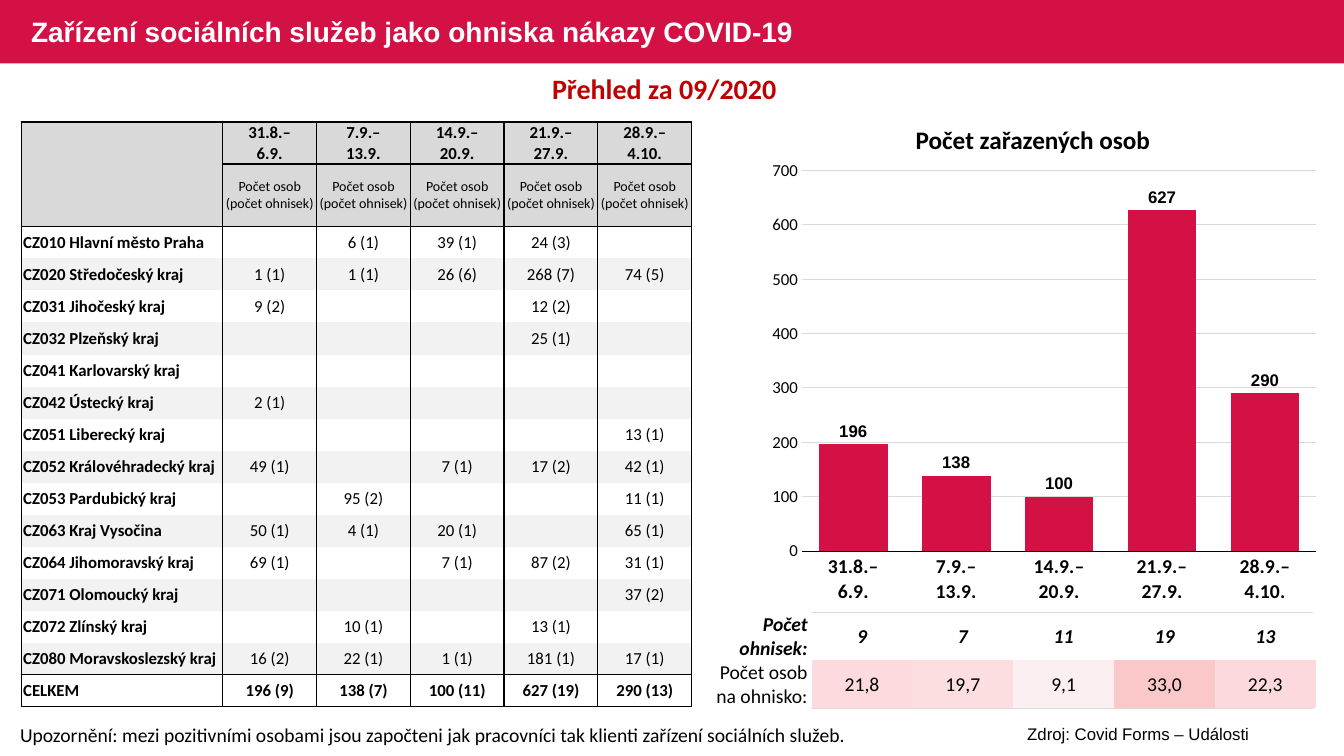
from dataclasses import dataclass, field

from lxml import etree
from pptx import Presentation
from pptx.chart import data as chart_data
from pptx.dml.color import RGBColor
from pptx.enum import chart as charts, shapes, text
from pptx.oxml import parse_xml
from pptx.oxml.ns import nsdecls, qn
from pptx.util import Inches, Pt

COLORS = {
    "red": "D31145", "dark_red": "C00000", "black": "000000", "white": "FFFFFF",
    "header": "D9D9D9", "band": "F2F2F2", "grid": "D9D9D9",
}
LEFT, CENTER, RIGHT = text.PP_ALIGN.LEFT, text.PP_ALIGN.CENTER, text.PP_ALIGN.RIGHT
WEEKS = ["31.8.–\n6.9.", "7.9.–\n13.9.", "14.9.–\n20.9.", "21.9.–\n27.9.", "28.9.–\n4.10."]
PERSONS = [196, 138, 100, 627, 290]
REGIONS = [
    ("CZ010 Hlavní město Praha", "", "6 (1)", "39 (1)", "24 (3)", ""),
    ("CZ020 Středočeský kraj", "1 (1)", "1 (1)", "26 (6)", "268 (7)", "74 (5)"),
    ("CZ031 Jihočeský kraj", "9 (2)", "", "", "12 (2)", ""),
    ("CZ032 Plzeňský kraj", "", "", "", "25 (1)", ""),
    ("CZ041 Karlovarský kraj", "", "", "", "", ""),
    ("CZ042 Ústecký kraj", "2 (1)", "", "", "", ""),
    ("CZ051 Liberecký kraj", "", "", "", "", "13 (1)"),
    ("CZ052 Královéhradecký kraj", "49 (1)", "", "7 (1)", "17 (2)", "42 (1)"),
    ("CZ053 Pardubický kraj", "", "95 (2)", "", "", "11 (1)"),
    ("CZ063 Kraj Vysočina", "50 (1)", "4 (1)", "20 (1)", "", "65 (1)"),
    ("CZ064 Jihomoravský kraj", "69 (1)", "", "7 (1)", "87 (2)", "31 (1)"),
    ("CZ071 Olomoucký kraj", "", "", "", "", "37 (2)"),
    ("CZ072 Zlínský kraj", "", "10 (1)", "", "13 (1)", ""),
    ("CZ080 Moravskoslezský kraj", "16 (2)", "22 (1)", "1 (1)", "181 (1)", "17 (1)"),
    ("CELKEM", "196 (9)", "138 (7)", "100 (11)", "627 (19)", "290 (13)"),
]


@dataclass
class Style:
    size: float
    bold: bool = False
    italic: bool = False
    color: str = "black"
    font: str = "Calibri"
    align: text.PP_ALIGN = CENTER


@dataclass
class Label:
    box: tuple[float, float, float, float]
    words: str
    style: Style
    anchor: text.MSO_ANCHOR = text.MSO_ANCHOR.TOP


@dataclass
class Cell:
    words: str = ""
    style: Style = field(default_factory=lambda: Style(12))
    fill: str | None = None
    margins: tuple[float, float, float, float] = (0.01, 0.01, 0.01, 0)
    borders: dict[str, tuple[str, float]] = field(default_factory=dict)


def style_font(font, style: Style) -> None:
    font.size, font.bold, font.italic = Pt(style.size), style.bold, style.italic
    font.name = style.font
    font.color.rgb = RGBColor.from_string(COLORS[style.color])


def write(tf, words: str, style: Style) -> None:
    p = tf.paragraphs[0]
    p.text = words.replace("\n", "\v")
    p.alignment = style.align
    for r in p.runs:
        style_font(r.font, style)


def add_label(slide, label: Label) -> None:
    tf = slide.shapes.add_textbox(*map(Inches, label.box)).text_frame
    tf.word_wrap = True
    tf.vertical_anchor = label.anchor
    write(tf, label.words, label.style)


def set_borders(cell, borders: dict[str, tuple[str, float]]) -> None:
    tc_pr = cell._tc.get_or_add_tcPr()
    for i, side in enumerate("LRTB"):
        ln = etree.Element(qn(f"a:ln{side}"))
        if side in borders:
            color, width = borders[side]
            ln.set("w", str(Pt(width)))
            fill = etree.SubElement(ln, qn("a:solidFill"))
            etree.SubElement(fill, qn("a:srgbClr"), val=COLORS[color])
        else:
            etree.SubElement(ln, qn("a:noFill"))
        tc_pr.insert(i, ln)


def add_grid(slide, left: float, top: float, widths: list[float],
             heights: list[float], rows: list[list[Cell]]) -> None:
    box = map(Inches, (left, top, sum(widths), sum(heights)))
    table = slide.shapes.add_table(len(heights), len(widths), *box).table
    table.first_row = table.horz_banding = False
    for column, width in zip(table.columns, widths):
        column.width = Inches(width)
    for row, height, items in zip(table.rows, heights, rows):
        row.height = Inches(height)
        for cell, item in zip(row.cells, items):
            (cell.margin_left, cell.margin_top,
             cell.margin_right, cell.margin_bottom) = map(Inches, item.margins)
            cell.vertical_anchor = text.MSO_ANCHOR.MIDDLE
            write(cell.text_frame, item.words, item.style)
            if item.fill:
                cell.fill.solid()
                cell.fill.fore_color.rgb = RGBColor.from_string(item.fill)
            else:
                cell.fill.background()
            set_borders(cell, item.borders)


def add_region_table(slide) -> None:
    rows = [[Cell(w, Style(12, True), COLORS["header"]) for w in ["", *WEEKS]],
            [Cell(w, Style(10), COLORS["header"])
             for w in [""] + ["Počet osob (počet ohnisek)"] * len(WEEKS)]]
    for i, (region, *counts) in enumerate(REGIONS):
        total = region == "CELKEM"
        fill = COLORS["band"] if i % 2 and not total else None
        rows.append([Cell(region, Style(12, True, align=LEFT), fill, (0.02, 0, 0.02, 0))]
                    + [Cell(w, Style(12, total), fill) for w in counts])
    # Horizontal rules, keyed by the row they stand above
    last = len(rows) - 1
    rules = {0: 1, 1: 1, 2: 0.5, last: 1, last + 1: 1}
    for r, row in enumerate(rows):
        for c, cell in enumerate(row):
            cell.borders = {"L": ("black", 1), "R": ("black", 1)}
            for side, edge in (("T", r), ("B", r + 1)):
                if edge in rules and (c, edge) != (0, 1):
                    cell.borders[side] = ("black", rules[edge])
    header = [0.41, 0.62]
    body = (5.8 - sum(header)) / len(REGIONS)
    add_grid(slide, 0.21, 1.21, [2] + [0.93] * len(WEEKS),
             header + [body] * len(REGIONS), rows)


def add_summary_tables(slide) -> None:
    outbreaks, average = Style(14, True, True), Style(14)
    line = {"T": ("grid", 1), "B": ("grid", 1)}
    labels = [("Počet ohnisek:", Style(14, True, True, align=RIGHT)),
              ("Počet osob na ohnisko:", Style(14, align=RIGHT))]
    add_grid(slide, 7.04, 6.08, [1.01] + [0.71] * 7, [0.47] * 2,
             [[Cell(w, style, margins=(0.01, 0, 0.04, 0))]
              + [Cell(borders=line) for _ in range(7)] for w, style in labels])
    shades = [("21,8", "FCDADD"), ("19,7", "FCDEE0"), ("9,1", "FCEFF2"),
              ("33,0", "FBC8CA"), ("22,3", "FCD9DC")]
    add_grid(slide, 8.05, 6.08, [1] * 5, [0.47] * 2,
             [[Cell(w, outbreaks) for w in ("9", "7", "11", "19", "13")],
              [Cell(w, average, fill) for w, fill in shades]])


def add_persons_chart(slide) -> None:
    data = chart_data.CategoryChartData()
    data.categories = WEEKS
    data.add_series("Series 1", PERSONS)
    chart = slide.shapes.add_chart(charts.XL_CHART_TYPE.COLUMN_CLUSTERED,
                                   *map(Inches, (7.56, 1.51, 5.61, 4.55)), data).chart
    chart.has_legend = chart.has_title = False
    style_font(chart.font, Style(14, True, font="Arial"))

    # Columns and their values
    plot = chart.plots[0]
    plot.gap_width, plot.vary_by_categories = 50, False
    fill = plot.series[0].format.fill
    fill.solid()
    fill.fore_color.rgb = RGBColor.from_string(COLORS["red"])
    plot.has_data_labels = True
    plot.data_labels.show_value = True
    plot.data_labels.position = charts.XL_LABEL_POSITION.OUTSIDE_END
    style_font(plot.data_labels.font, Style(12, True, font="Arial"))

    # Axes
    weeks, persons = chart.category_axis, chart.value_axis
    for axis, style in ((weeks, Style(14, True)), (persons, Style(12))):
        axis.major_tick_mark = axis.minor_tick_mark = charts.XL_TICK_MARK.NONE
        style_font(axis.tick_labels.font, style)
    persons.minimum_scale, persons.maximum_scale, persons.major_unit = 0, 700, 100
    persons.format.line.fill.background()
    for line, color in ((weeks.format.line, "black"),
                        (persons.major_gridlines.format.line, "grid")):
        line.width = Pt(0.75)
        line.color.rgb = RGBColor.from_string(COLORS[color])

    # Plot area as fractions of the chart
    area = chart._chartSpace.find(".//" + qn("c:plotArea"))
    for layout in area.findall(qn("c:layout")):
        area.remove(layout)
    places = "".join(f'<c:{k} val="{v}"/>' for k, v in (
        ("layoutTarget", "inner"), ("xMode", "edge"), ("yMode", "edge"),
        ("x", 0.07), ("y", 0.04), ("w", 0.91), ("h", 0.83)))
    area.insert(0, parse_xml(f'<c:layout {nsdecls("c")}><c:manualLayout>{places}'
                             '</c:manualLayout></c:layout>'))


def main() -> None:
    prs = Presentation()
    prs.slide_width, prs.slide_height = Inches(13.33), Inches(7.5)
    slide = prs.slides.add_slide(prs.slide_layouts[6])

    # Title band
    sp = slide.shapes.add_shape(shapes.MSO_SHAPE.RECTANGLE, 0, 0, prs.slide_width, Inches(0.63))
    sp.shadow.inherit = False
    sp.fill.solid()
    sp.fill.fore_color.rgb = RGBColor.from_string(COLORS["red"])
    sp.line.fill.background()

    add_region_table(slide)
    add_persons_chart(slide)
    add_summary_tables(slide)

    # Headings and notes
    for label in (
        Label((0.21, 0, 8.13, 0.63), "Zařízení sociálních služeb jako ohniska nákazy COVID-19",
              Style(20, True, color="white", font="Arial", align=LEFT), text.MSO_ANCHOR.MIDDLE),
        Label((0.21, 0.66, 12.82, 0.44), "Přehled za 09/2020 ", Style(20, True, color="dark_red")),
        Label((7.56, 1.18, 5.37, 0.4), "Počet zařazených osob", Style(18, True)),
        Label((0.1, 7.12, 8.52, 0.34), "Upozornění: mezi pozitivními osobami jsou započteni jak "
              "pracovníci tak klienti zařízení sociálních služeb.", Style(14, align=LEFT)),
        Label((9.35, 7.13, 3.88, 0.3), "Zdroj: Covid Forms – Události", Style(12, font="Arial")),
    ):
        add_label(slide, label)
    prs.save("out.pptx")


if __name__ == "__main__":
    main()
